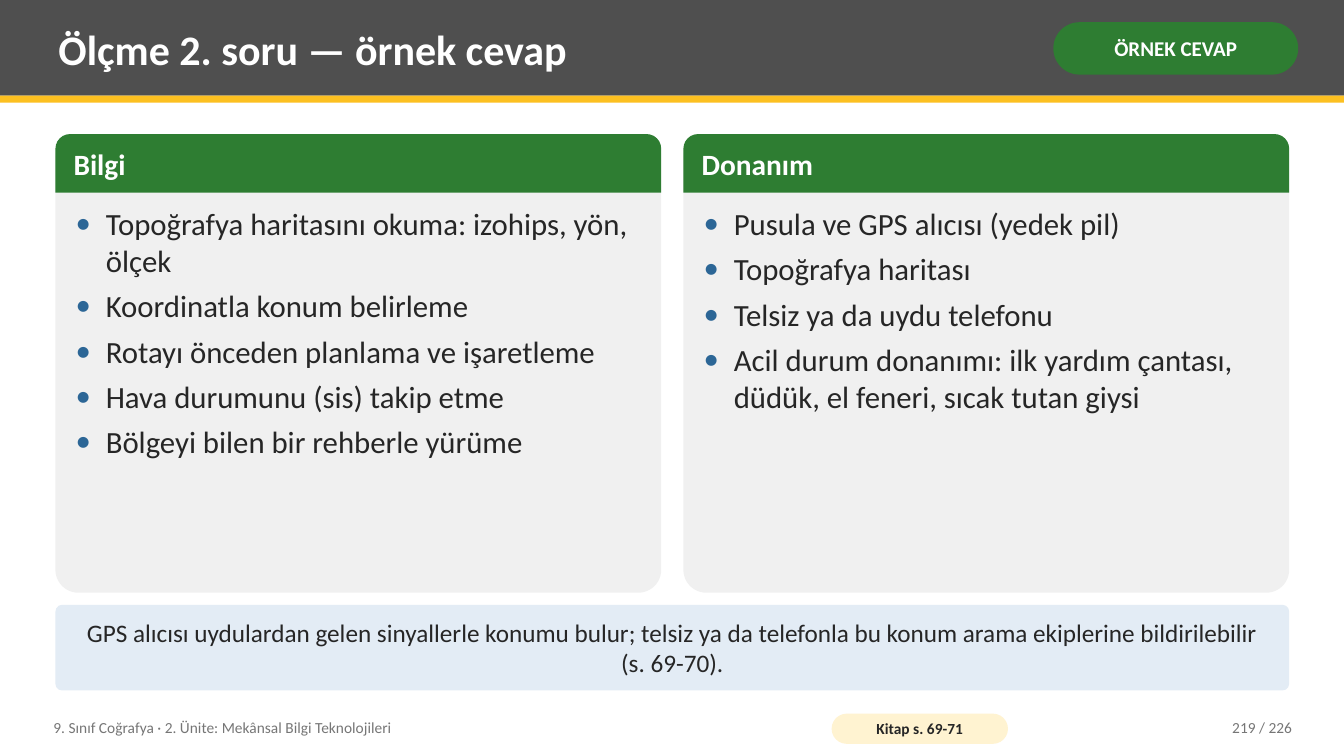
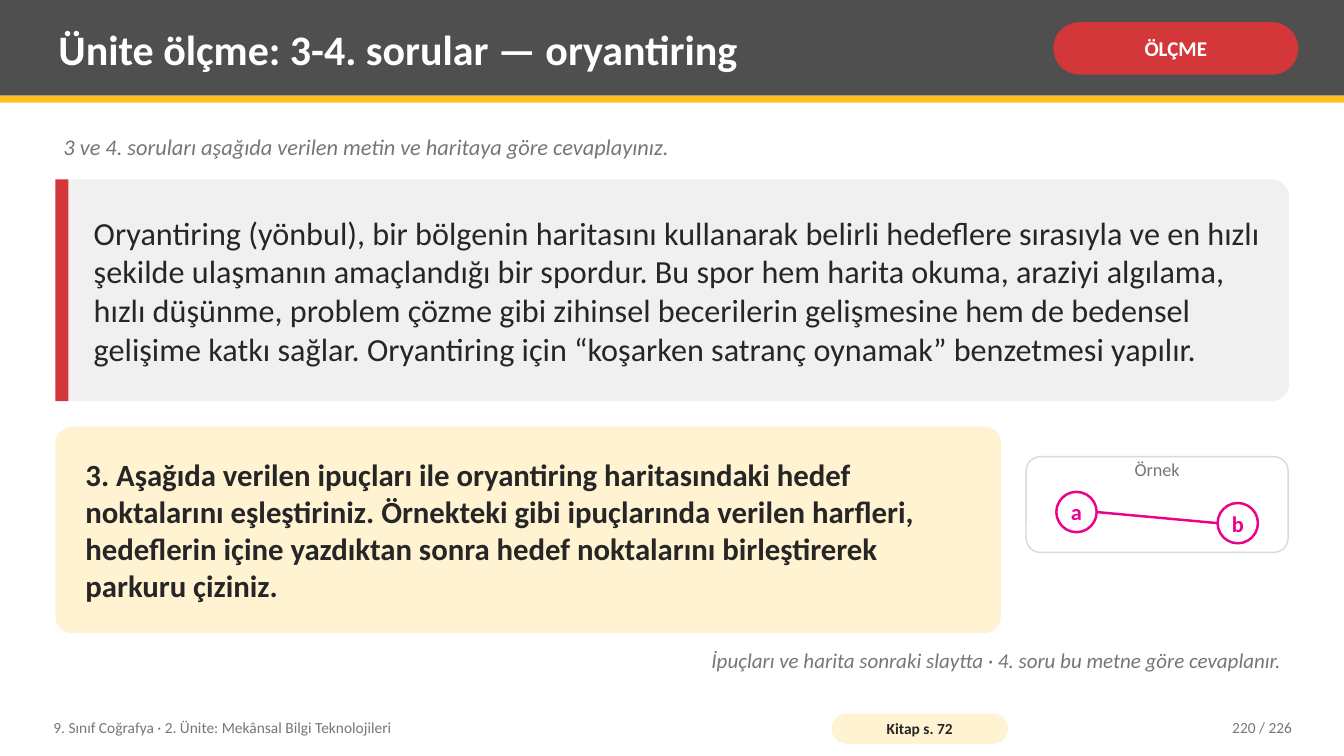
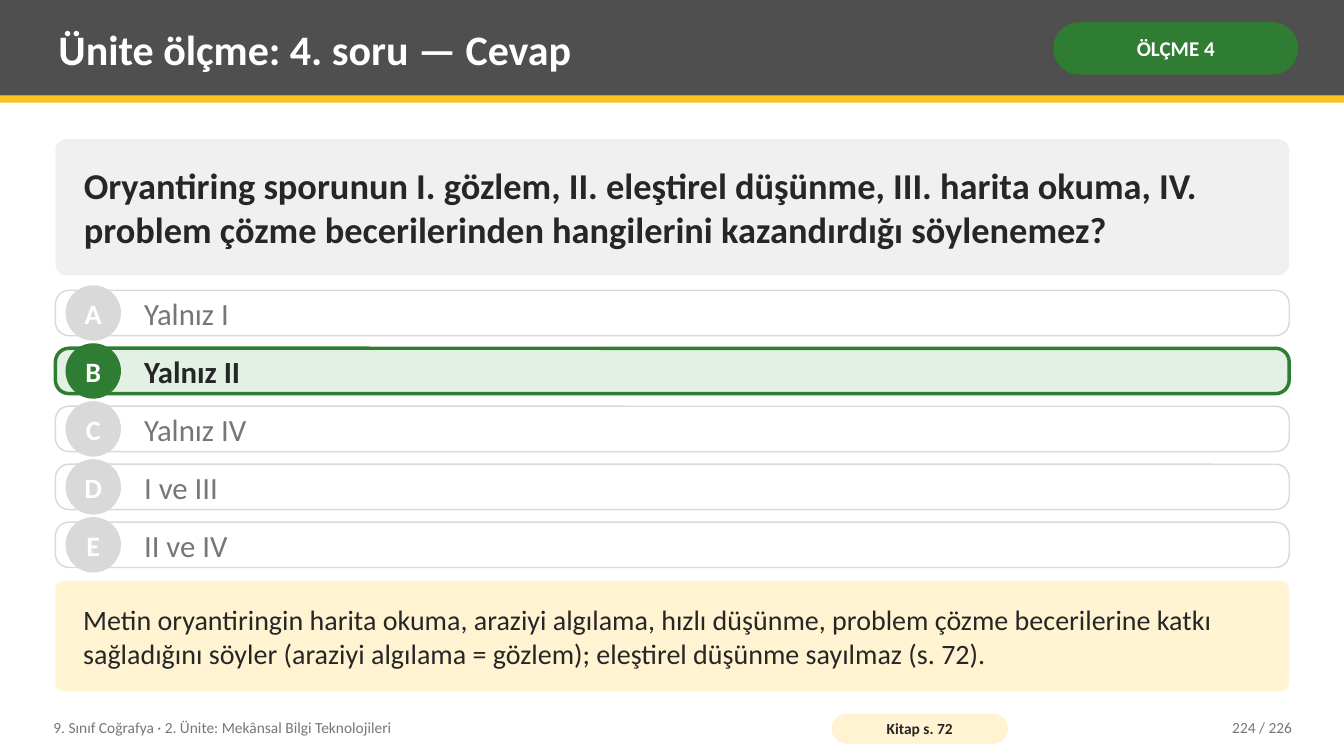
from lxml.etree import SubElement
from pptx import Presentation
from pptx.dml.color import RGBColor as Rgb
from pptx.enum.shapes import MSO_CONNECTOR as Conn, MSO_SHAPE as Kind
from pptx.enum.text import MSO_ANCHOR as Anchor, MSO_AUTO_SIZE as Fit, PP_ALIGN as Align
from pptx.oxml.ns import qn
from pptx.util import Emu, Pt

# Content
UNIT = "9. Sınıf Coğrafya · 2. Ünite: Mekânsal Bilgi Teknolojileri"
TOTAL = 226
HEADS = [  # title, badge, badge colour, book pages, slide number
    ("Ölçme 2. soru — örnek cevap", "ÖRNEK CEVAP", "green", "69-71", 219),
    ("Ünite ölçme: 3-4. sorular — oryantiring", "ÖLÇME", "red", "72", 220),
    ("Ünite ölçme: 4. soru — Cevap", "ÖLÇME 4", "green", "72", 224),
]
CARDS = [
    ("Bilgi", [
        "Topoğrafya haritasını okuma: izohips, yön, ölçek",
        "Koordinatla konum belirleme",
        "Rotayı önceden planlama ve işaretleme",
        "Hava durumunu (sis) takip etme",
        "Bölgeyi bilen bir rehberle yürüme",
    ]),
    ("Donanım", [
        "Pusula ve GPS alıcısı (yedek pil)",
        "Topoğrafya haritası",
        "Telsiz ya da uydu telefonu",
        "Acil durum donanımı: ilk yardım çantası, düdük, el feneri, sıcak tutan giysi",
    ]),
]
GPS_NOTE = ("GPS alıcısı uydulardan gelen sinyallerle konumu bulur; telsiz ya da "
            "telefonla bu konum arama ekiplerine bildirilebilir (s. 69-70).")
INTRO = "3 ve 4. soruları aşağıda verilen metin ve haritaya göre cevaplayınız."
PASSAGE = ("Oryantiring (yönbul), bir bölgenin haritasını kullanarak belirli hedeflere "
           "sırasıyla ve en hızlı şekilde ulaşmanın amaçlandığı bir spordur. Bu spor hem "
           "harita okuma, araziyi algılama, hızlı düşünme, problem çözme gibi zihinsel "
           "becerilerin gelişmesine hem de bedensel gelişime katkı sağlar. Oryantiring "
           "için “koşarken satranç oynamak” benzetmesi yapılır.")
TASK = ("3. Aşağıda verilen ipuçları ile oryantiring haritasındaki hedef noktalarını "
        "eşleştiriniz. Örnekteki gibi ipuçlarında verilen harfleri, hedeflerin içine "
        "yazdıktan sonra hedef noktalarını birleştirerek parkuru çiziniz.")
NEXT = "İpuçları ve harita sonraki slaytta · 4. soru bu metne göre cevaplanır."
STOPS = [("a", 1048, 488), ("b", 1208, 499)]
ASK = ("Oryantiring sporunun I. gözlem, II. eleştirel düşünme, III. harita okuma, "
       "IV. problem çözme becerilerinden hangilerini kazandırdığı söylenemez?")
CHOICES = ["Yalnız I", "Yalnız II", "Yalnız IV", "I ve III", "II ve IV"]
RIGHT = "B"
REASON = ("Metin oryantiringin harita okuma, araziyi algılama, hızlı düşünme, problem "
          "çözme becerilerine katkı sağladığını söyler (araziyi algılama = gözlem); "
          "eleştirel düşünme sayılmaz (s. 72).")

# Style: 100 px to the inch
PX = 9144
WIDE, HIGH = 1333, 750
LEFT, SPAN, GAP = 55, 1224, 22
FONT = "Calibri"
HUES = {
    "bar": "4F4F4F", "gold": "FCC021", "green": "2E7D32", "red": "D3373A",
    "pale": "F0F0F0", "cream": "FFF3D1", "sky": "E3ECF5", "mint": "E3F1E4",
    "ink": "262626", "mute": "767676", "rule": "D9D9D9", "dot": "2C6696",
    "pink": "ED008C", "white": "FFFFFF",
}


def px(num):
    return Emu(round(num * PX))


def hue(name):
    return Rgb.from_string(HUES[name])


def write(shape, text, size=18, color="ink", bold=False, italic=False,
          align=Align.LEFT, anchor=Anchor.MIDDLE, inset=(8, 4), wrap=True, bullet=False):
    """Fill a shape with one paragraph per item of text."""
    frame = shape.text_frame
    frame.auto_size, frame.word_wrap = Fit.NONE, wrap
    frame.vertical_anchor = anchor
    frame.margin_left = frame.margin_right = px(inset[0])
    frame.margin_top = frame.margin_bottom = px(inset[1])
    items = [text] if isinstance(text, str) else text
    for i, item in enumerate(items):
        para = frame.add_paragraph() if i else frame.paragraphs[0]
        para.alignment = align
        para.space_before = Pt(0)
        if bullet:
            para.space_after = Pt(6)
            dot(para)
        run = para.add_run()
        run.text = item
        font = run.font
        font.name, font.size, font.bold, font.italic = FONT, Pt(size), bold, italic
        font.color.rgb = hue(color)
    return shape


def dot(para):
    """Give a paragraph a coloured bullet with a hanging indent."""
    props = para._p.get_or_add_pPr()
    props.set("marL", str(px(30)))
    props.set("indent", str(-px(30)))
    tint = SubElement(props, qn("a:buClr"))
    SubElement(tint, qn("a:srgbClr")).set("val", HUES["dot"])
    SubElement(props, qn("a:buFont")).set("typeface", FONT)
    SubElement(props, qn("a:buChar")).set("char", "•")


def place(shape, x, y, w, h):
    shape.left, shape.top, shape.width, shape.height = map(px, (x, y, w, h))
    return shape


def box(slide, x, y, w, h, fill, kind=Kind.RECTANGLE, curve=None, line=None, thick=1):
    shape = slide.shapes.add_shape(kind, *map(px, (x, y, w, h)))
    shape.shadow.inherit = False
    shape.fill.solid()
    shape.fill.fore_color.rgb = hue(fill)
    if curve is not None:
        shape.adjustments[0] = curve
    if line:
        shape.line.color.rgb = hue(line)
        shape.line.width = Pt(thick)
    else:
        shape.line.fill.background()
    return shape


def panel(slide, x, y, w, h, fill, curve=0.08, **edge):
    return box(slide, x, y, w, h, fill, Kind.ROUNDED_RECTANGLE, curve, **edge)


def label(slide, x, y, w, h, text, **form):
    return write(slide.shapes.add_textbox(*map(px, (x, y, w, h))), text, **form)


# Shared parts
def share(deck, slide):
    """Put the band, its stripe and the unit name on the master."""
    parts = [
        box(slide, 0, 0, WIDE + 1, 95, "bar"),
        box(slide, 0, 95, WIDE + 1, 7, "gold"),
        label(slide, 45, 704, 760, 36, UNIT, size=11, color="mute"),
    ]
    tree = deck.slide_master.shapes._spTree
    for i, part in enumerate(parts):
        node = part._element
        node.nvSpPr.cNvPr.set("id", str(100 + i))
        tree.insert(2 + i, node)


def head(slide, title, badge, color, pages, num):
    write(place(slide.shapes.title, 50, 7, 975, 82), title, size=30, color="white", bold=True)
    write(panel(slide, 1045, 22, 243, 52, color, 0.5), badge, size=15, color="white",
          bold=True, align=Align.CENTER, inset=(5, 2))
    write(panel(slide, 825, 708, 175, 30, "cream", 0.5), f"Kitap s. {pages}", size=11,
          bold=True, align=Align.CENTER, inset=(4, 0))
    label(slide, 1130, 704, 160, 36, f"{num} / {TOTAL}", size=11, color="mute",
          align=Align.RIGHT)


# Slide bodies
def sample(slide):
    wide = (SPAN - GAP) // 2
    for i, (name, items) in enumerate(CARDS):
        x = LEFT + i * (wide + GAP)
        panel(slide, x, 133, wide, 455, "pale", 0.05)
        box(slide, x, 133, wide, 58, "green", Kind.ROUND_2_SAME_RECTANGLE, 0.25)
        label(slide, x + 10, 133, wide - 20, 58, name, size=21, color="white", bold=True)
        body = place(slide.placeholders[i + 1], x + 12, 199, wide - 24, 381)
        write(body, items, size=22, anchor=Anchor.TOP, bullet=True)
        slide.shapes._spTree.append(body._element)  # list above its card
    write(panel(slide, LEFT, 600, SPAN, 85, "sky"), GPS_NOTE, size=18,
          align=Align.CENTER, inset=(20, 8))


def reading(slide):
    label(slide, LEFT, 128, SPAN, 40, INTRO, size=16, color="mute", italic=True,
          anchor=Anchor.TOP)
    panel(slide, LEFT, 178, SPAN, 220, "pale")
    box(slide, LEFT, 178, 13, 220, "red")
    label(slide, LEFT + 30, 178, SPAN - 46, 220, PASSAGE, size=23)
    write(panel(slide, LEFT, 423, 938, 205, "cream"), TASK, size=22, bold=True, inset=(25, 8))
    # Worked example: two stops and the leg between them
    panel(slide, 1018, 453, 260, 95, "white", 0.15, line="rule")
    label(slide, 1088, 455, 120, 32, "Örnek", size=13, color="mute", align=Align.CENTER,
          anchor=Anchor.TOP, inset=(8, 0))
    (_, ax, ay), (_, bx, by) = STOPS
    size = 40
    leg = slide.shapes.add_connector(
        Conn.STRAIGHT, *map(px, (ax + size, ay + size / 2, bx, by + size / 2)))
    leg.line.color.rgb = hue("pink")
    leg.line.width = Pt(1.75)
    SubElement(leg._element.spPr, qn("a:effectLst"))
    for name, x, y in STOPS:
        stop = box(slide, x, y, size, size, "white", Kind.OVAL, line="pink", thick=1.75)
        write(stop, name, size=16, color="pink", bold=True, align=Align.CENTER,
              inset=(0, 0), wrap=False)
    label(slide, LEFT, 638, SPAN, 45, NEXT, size=15, color="mute", italic=True,
          align=Align.RIGHT, anchor=Anchor.TOP)


def quiz(slide):
    write(panel(slide, LEFT, 138, SPAN, 135, "pale"), ASK, size=26, bold=True, inset=(25, 8))
    for i, (key, text) in enumerate(zip("ABCDE", CHOICES)):
        y, hit = 288 + 57.5 * i, key == RIGHT
        mark = "green" if hit else "rule"
        panel(slide, LEFT, y, SPAN, 45, "mint" if hit else "white", 0.3, line=mark,
              thick=2.5 if hit else 1)
        write(box(slide, LEFT + 10, y - 5, 55, 55, mark, Kind.OVAL), key, size=20,
              color="white", bold=True, align=Align.CENTER, inset=(0, 0), wrap=False)
        label(slide, LEFT + 80, y, SPAN - 100, 45, text, size=22,
              color="ink" if hit else "mute", bold=hit)
    write(panel(slide, LEFT, 576, SPAN, 110, "cream"), REASON, size=20, inset=(25, 8))


def main():
    deck = Presentation()
    deck.slide_width, deck.slide_height = Emu(12192000), px(HIGH)
    two, plain = deck.slide_layouts[3], deck.slide_layouts[5]
    plans = [(two, sample), (plain, reading), (plain, quiz)]
    for i, ((layout, fill), facts) in enumerate(zip(plans, HEADS)):
        slide = deck.slides.add_slide(layout)
        if i == 0:
            share(deck, slide)
        head(slide, *facts)
        fill(slide)
    deck.save("out.pptx")


if __name__ == "__main__":
    main()
